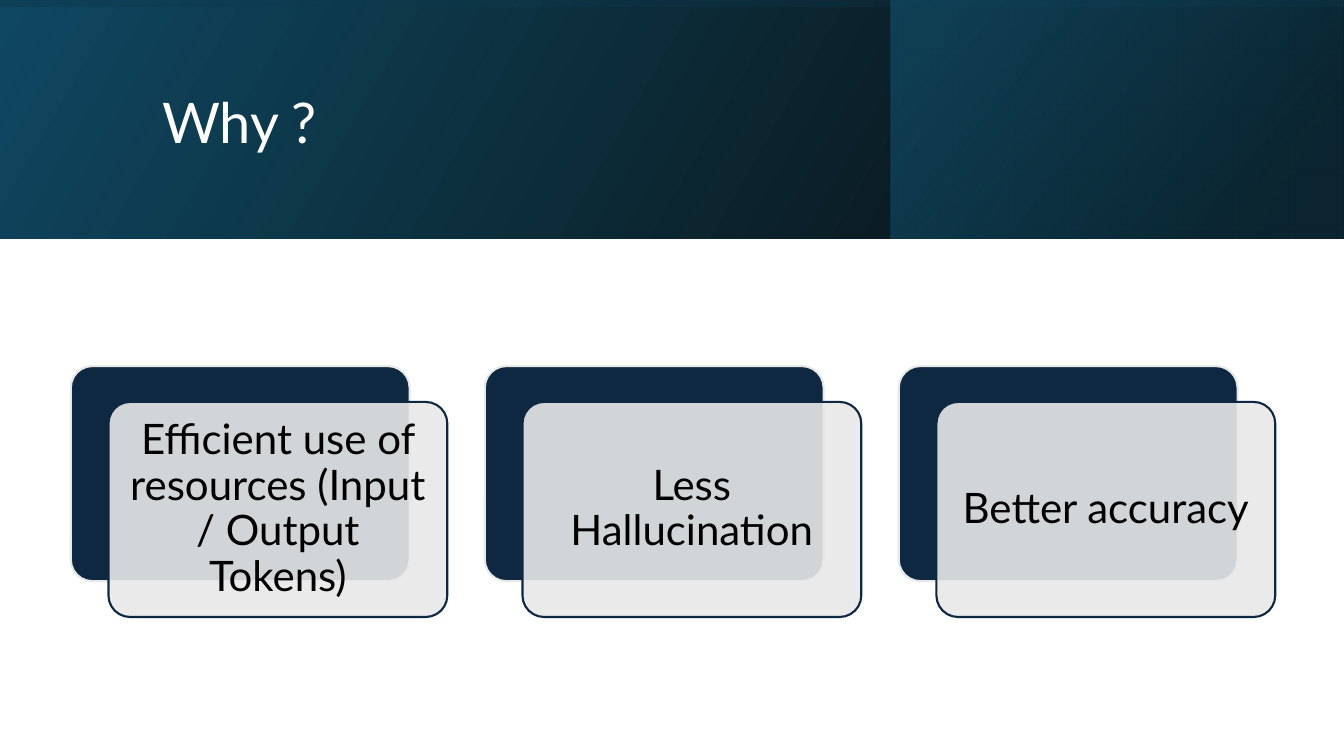
"""Build a slide with a gradient banner and three layered reason cards."""
from dataclasses import dataclass
from typing import Any

from lxml import etree
from pptx import Presentation
from pptx.dml.color import RGBColor
from pptx.enum.shapes import MSO_SHAPE
from pptx.enum.text import MSO_ANCHOR, PP_ALIGN
from pptx.oxml.ns import qn
from pptx.shapes.autoshape import Shape
from pptx.slide import Slide
from pptx.util import Pt

RECTANGLE = MSO_SHAPE.RECTANGLE
ROUNDED = MSO_SHAPE.ROUNDED_RECTANGLE
MIDDLE = MSO_ANCHOR.MIDDLE
LEFT = PP_ALIGN.LEFT
CENTER = PP_ALIGN.CENTER


@dataclass(frozen=True)
class Theme:
    font: str = "Lato"
    title_size: float = 40
    card_size: float = 30
    line_width: float = 1.5
    navy: str = "0E2841"
    pale: str = "E8E8E8"
    white: str = "FFFFFF"
    black: str = "000000"
    deep_teal: str = "104862"
    teal: str = "156082"
    dark_teal: str = "0B3041"


@dataclass(frozen=True)
class Box:
    left: float
    top: float
    width: float
    height: float

    def lengths(self) -> tuple[Pt, ...]:
        return tuple(Pt(value) for value in (self.left, self.top, self.width, self.height))


@dataclass(frozen=True)
class Stop:
    position: int
    color: str
    opacity: int


@dataclass(frozen=True)
class Band:
    box: Box
    angle: int
    stops: tuple[Stop, ...]
    rotation: int = 0


THEME = Theme()
SLIDE_WIDTH, SLIDE_HEIGHT = 960, 540
BANNER_HEIGHT = 170.6
BANDS = (
    Band(Box(0, 0, SLIDE_WIDTH, BANNER_HEIGHT), 330,
         (Stop(0, THEME.black, 96), Stop(100, THEME.deep_teal, 100))),
    Band(Box(636.5, 0, 322.9, BANNER_HEIGHT), 320,
         (Stop(19, THEME.dark_teal, 68), Stop(100, THEME.teal, 48))),
    Band(Box((SLIDE_WIDTH - BANNER_HEIGHT) / 2, (BANNER_HEIGHT - SLIDE_WIDTH) / 2,
             BANNER_HEIGHT, SLIDE_WIDTH), 350,
         (Stop(23, THEME.deep_teal, 16), Stop(99, THEME.black, 45)), 270),
)
TITLE = "Why ?"
TITLE_BOX = Box(108.7, 27.4, 765.4, 123.8)
REASONS = (
    "Efficient use of resources (Input / Output Tokens)",
    "Less Hallucination",
    "Better accuracy",
)
CARD = Box(50.6, 261.5, 242, 153.6)
CARD_STEP = 295.7
PANEL_SHIFT_X, PANEL_SHIFT_Y = 26.9, 25.6
PANEL_INSET = 8.6
PANEL_OPACITY = 90


def apply_format(target: Any, values: dict[str, Any]) -> None:
    for name, value in values.items():
        setattr(target, name, value)


def set_opacity(color: etree._Element, percent: int) -> None:
    etree.SubElement(color, qn("a:alpha")).set("val", str(percent * 1000))


def add_band(slide: Slide, band: Band) -> None:
    shape = slide.shapes.add_shape(RECTANGLE, *band.box.lengths())
    shape.shadow.inherit = False
    shape.line.fill.background()
    shape.rotation = band.rotation
    properties = shape.element.spPr
    properties.xfrm.set("flipH", "1")
    gradient = etree.Element(qn("a:gradFill"), rotWithShape="1")
    stop_list = etree.SubElement(gradient, qn("a:gsLst"))
    for stop in band.stops:
        entry = etree.SubElement(stop_list, qn("a:gs"), pos=str(stop.position * 1000))
        color = etree.SubElement(entry, qn("a:srgbClr"), val=stop.color)
        set_opacity(color, stop.opacity)
    etree.SubElement(gradient, qn("a:lin"), ang=str(band.angle * 60000), scaled="0")
    properties.find(qn("a:prstGeom")).addnext(gradient)


def write_text(shape: Shape, text: str, size: float, color: str,
               alignment: PP_ALIGN, frame_format: dict[str, Any]) -> None:
    frame = shape.text_frame
    apply_format(frame, {"word_wrap": True, "vertical_anchor": MIDDLE, **frame_format})
    paragraph = frame.paragraphs[0]
    apply_format(paragraph, {"alignment": alignment, "line_spacing": 0.9})
    run = paragraph.add_run()
    run.text = text
    apply_format(run.font, {"name": THEME.font, "size": Pt(size)})
    run.font.color.rgb = RGBColor.from_string(color)


def add_rounded(slide: Slide, box: Box, fill: str, line: str) -> Shape:
    shape = slide.shapes.add_shape(ROUNDED, *box.lengths())
    shape.shadow.inherit = False
    shape.adjustments[0] = 0.1
    shape.fill.solid()
    shape.fill.fore_color.rgb = RGBColor.from_string(fill)
    shape.line.color.rgb = RGBColor.from_string(line)
    shape.line.width = Pt(THEME.line_width)
    return shape


def add_reason(slide: Slide, index: int, reason: str) -> None:
    left = CARD.left + index * CARD_STEP
    back = Box(left, CARD.top, CARD.width, CARD.height)
    front = Box(left + PANEL_SHIFT_X, CARD.top + PANEL_SHIFT_Y, CARD.width, CARD.height)
    add_rounded(slide, back, THEME.navy, THEME.pale)
    panel = add_rounded(slide, front, THEME.pale, THEME.navy)
    color = panel.element.spPr.find(f"{qn('a:solidFill')}/{qn('a:srgbClr')}")
    set_opacity(color, PANEL_OPACITY)
    margins = {f"margin_{side}": Pt(PANEL_INSET) for side in ("left", "right", "top", "bottom")}
    write_text(panel, reason, THEME.card_size, THEME.black, CENTER, margins)


def main() -> None:
    presentation = Presentation()
    apply_format(presentation, {"slide_width": Pt(SLIDE_WIDTH), "slide_height": Pt(SLIDE_HEIGHT)})
    slide = presentation.slides.add_slide(presentation.slide_layouts[6])
    for band in BANDS:
        add_band(slide, band)
    title = slide.shapes.add_textbox(*TITLE_BOX.lengths())
    write_text(title, TITLE, THEME.title_size, THEME.white, LEFT, {})
    for index, reason in enumerate(REASONS):
        add_reason(slide, index, reason)
    presentation.save("out.pptx")


if __name__ == "__main__":
    main()
